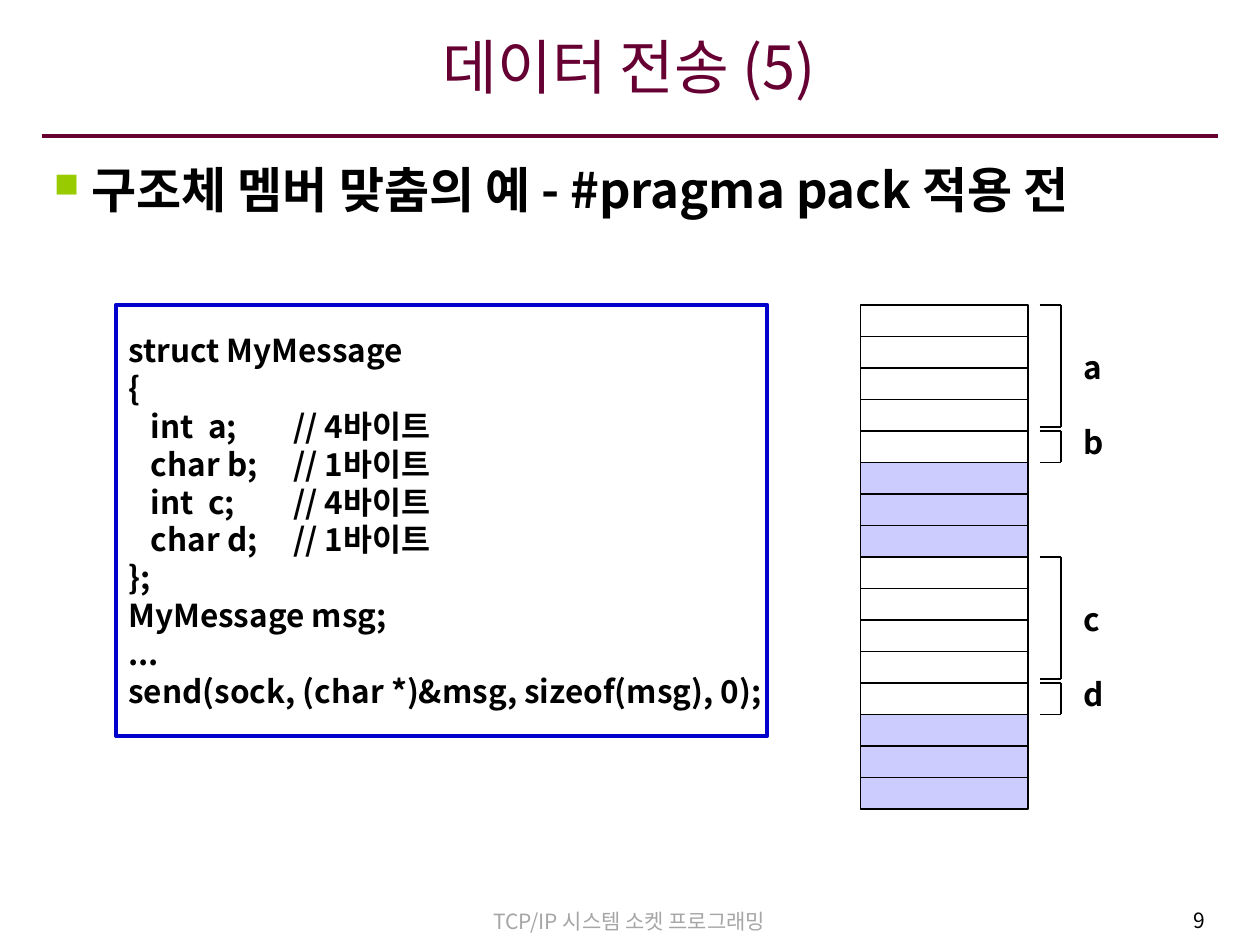
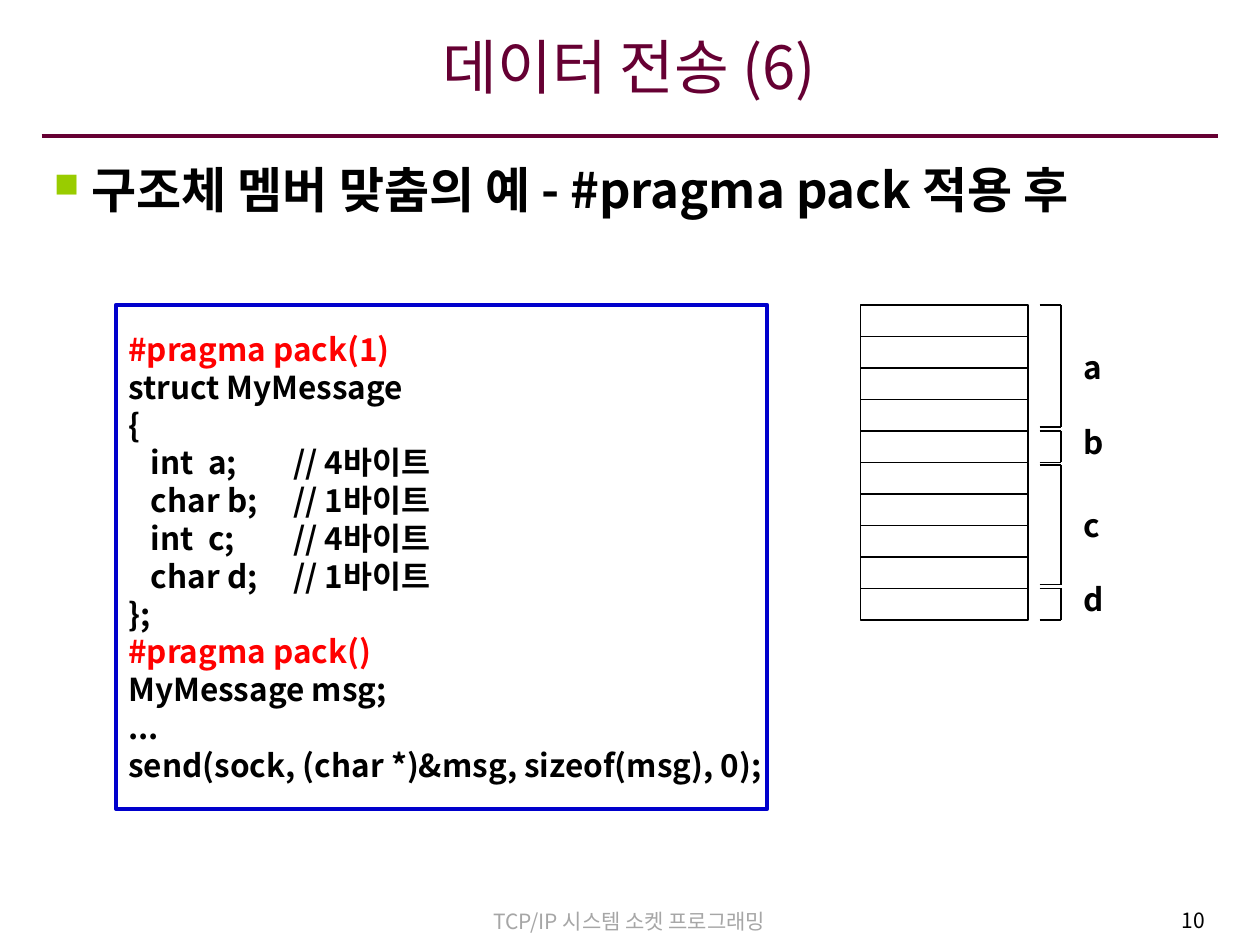
from dataclasses import dataclass

from lxml.etree import SubElement
from pptx import Presentation
from pptx.dml.color import RGBColor as RGB
from pptx.enum.shapes import MSO_CONNECTOR as CONN, MSO_SHAPE as SHAPE
from pptx.enum.text import MSO_ANCHOR as ANCHOR, PP_ALIGN as ALIGN
from pptx.oxml.ns import qn
from pptx.util import Inches, Pt


@dataclass(frozen=True)
class Theme:
    font: str = "Noto Sans CJK KR"
    title: str = "660033"
    text: str = "000000"
    footer: str = "A6A6A6"
    bullet: str = "99CC00"
    frame: str = "0000CC"
    directive: str = "FF0000"
    member: str = "FFFFFF"
    padding: str = "CCCCFF"
    title_size: int = 34
    heading_size: int = 28
    code_size: int = 18
    footer_size: int = 12
    line_height: float = 1.2


T = Theme()
FOOTER = "TCP/IP 시스템 소켓 프로그래밍"
STRUCT = [
    "struct MyMessage",
    "{",
    "\tint  a;\t// 4바이트",
    "\tchar b;\t// 1바이트",
    "\tint  c;\t// 4바이트",
    "\tchar d;\t// 1바이트",
    "};",
]
SEND = ["MyMessage msg;", "...", "send(sock, (char *)&msg, sizeof(msg), 0);"]
CODE_TABS = (0.18, 1.31)

MEMORY_LEFT, MEMORY_TOP = 6.83, 2.42
BYTE_WIDTH, BYTE_HEIGHT = 1.33, 0.25
BRACKET_LEFT, BRACKET_RIGHT = 8.25, 8.42
LABEL_LEFT = 8.5


def box(at):
    return [Inches(v) for v in at]


def add_run(p, text, size, color, bold=False):
    r = p.add_run()
    r.text = text
    r.font.name = T.font
    r.font.size = Pt(size)
    r.font.bold = bold
    r.font.color.rgb = RGB.from_string(color)
    SubElement(r.font._element, qn("a:ea"), typeface=T.font)
    p.line_spacing = Pt(size * T.line_height)


def add_text(slide, at, text, size, color, align=ALIGN.LEFT, bold=False):
    tf = slide.shapes.add_textbox(*box(at)).text_frame
    tf.word_wrap = True
    p = tf.paragraphs[0]
    p.alignment = align
    add_run(p, text, size, color, bold)
    return tf


def add_rect(slide, at, fill=None, line=None, width=1):
    sp = slide.shapes.add_shape(SHAPE.RECTANGLE, *box(at))
    sp.shadow.inherit = False
    if fill:
        sp.fill.solid()
        sp.fill.fore_color.rgb = RGB.from_string(fill)
    else:
        sp.fill.background()
    if line:
        sp.line.color.rgb = RGB.from_string(line)
        sp.line.width = Pt(width)
    else:
        sp.line.fill.background()
    tf = sp.text_frame
    tf.word_wrap = False
    tf.vertical_anchor = ANCHOR.MIDDLE
    return tf


def add_line(slide, x1, y1, x2, y2, color=T.text, width=0.75):
    c = slide.shapes.add_connector(CONN.STRAIGHT, *box((x1, y1, x2, y2)))
    c.line.color.rgb = RGB.from_string(color)
    c.line.width = Pt(width)
    SubElement(c._element.spPr, qn("a:effectLst"))


def add_bullet(p, indent):
    pPr = p._p.get_or_add_pPr()
    pPr.set("marL", str(Inches(indent)))
    pPr.set("indent", str(-Inches(indent)))
    color = SubElement(pPr, qn("a:buClr"))
    SubElement(color, qn("a:srgbClr"), val=T.bullet)
    SubElement(pPr, qn("a:buSzPct"), val="70000")
    SubElement(pPr, qn("a:buChar"), char="■")


def add_tabs(p, stops):
    tabs = SubElement(p._p.get_or_add_pPr(), qn("a:tabLst"))
    for stop in stops:
        SubElement(tabs, qn("a:tab"), pos=str(Inches(stop)), algn="l")


def add_frame(prs, title, heading, page):
    slide = prs.slides.add_slide(prs.slide_layouts[6])
    add_line(slide, 0.33, 1.08, 9.67, 1.08, T.title, 2.25)
    add_text(slide, (2.87, 7.16, 4.25, 0.3), FOOTER, T.footer_size, T.footer, ALIGN.CENTER)
    add_text(slide, (7.54, 7.15, 2.12, 0.33), str(page), T.footer_size, T.text, ALIGN.RIGHT)
    tf = add_text(slide, (0.33, 0.15, 9.33, 0.85), title, T.title_size, T.title, ALIGN.CENTER)
    tf.vertical_anchor = ANCHOR.MIDDLE
    tf.margin_bottom = Inches(0.16)
    tf = add_text(slide, (0.33, 1.22, 9.33, 0.7), heading, T.heading_size, T.text, bold=True)
    add_bullet(tf.paragraphs[0], 0.3)
    return slide


def add_code(slide, lines, height):
    tf = add_rect(slide, (0.92, 2.42, 5.17, height), line=T.frame, width=2.25)
    for i, line in enumerate(lines):
        p = tf.add_paragraph() if i else tf.paragraphs[0]
        p.alignment = ALIGN.LEFT
        color = T.directive if line.startswith("#") else T.text
        add_run(p, line, T.code_size, color, bold=True)
        add_tabs(p, CODE_TABS)


def add_bracket(slide, top, bottom):
    add_line(slide, BRACKET_LEFT, top, BRACKET_RIGHT, top)
    add_line(slide, BRACKET_RIGHT, top, BRACKET_RIGHT, bottom)
    add_line(slide, BRACKET_LEFT, bottom, BRACKET_RIGHT, bottom)


def add_member(slide, name, top, size, gap_above):
    wide = size > 1
    bottom = top + size * BYTE_HEIGHT
    label_top = top + 0.41 if wide else top
    tf = add_rect(slide, (LABEL_LEFT, label_top, 0.5, 0.17), fill=T.member)
    p = tf.paragraphs[0]
    p.alignment = ALIGN.LEFT
    add_run(p, name, T.code_size, T.text, bold=True)
    add_bracket(slide, top + gap_above, bottom - 0.03 if wide else bottom)


def add_memory(slide, members):
    top, touches_previous = MEMORY_TOP, False
    for name, size, padding in members:
        for i in range(size + padding):
            add_rect(
                slide,
                (MEMORY_LEFT, top + i * BYTE_HEIGHT, BYTE_WIDTH, BYTE_HEIGHT),
                fill=T.member if i < size else T.padding,
                line=T.text,
            )
        gap_above = 0.02 if touches_previous and size > 1 else 0
        add_member(slide, name, top, size, gap_above)
        top += (size + padding) * BYTE_HEIGHT
        touches_previous = padding == 0


def main():
    prs = Presentation()
    prs.slide_width, prs.slide_height = Inches(10), Inches(7.5)

    heading = "구조체 멤버 맞춤의 예 - #pragma pack 적용 "
    slide = add_frame(prs, "데이터 전송 (5)", heading + "전", 9)
    add_memory(slide, [("a", 4, 0), ("b", 1, 3), ("c", 4, 0), ("d", 1, 3)])
    add_code(slide, STRUCT + SEND, 3.42)

    slide = add_frame(prs, "데이터 전송 (6)", heading + "후", 10)
    add_memory(slide, [("a", 4, 0), ("b", 1, 0), ("c", 4, 0), ("d", 1, 0)])
    add_code(slide, ["#pragma pack(1)", *STRUCT, "#pragma pack()", *SEND], 4)

    prs.save("out.pptx")


if __name__ == "__main__":
    main()
